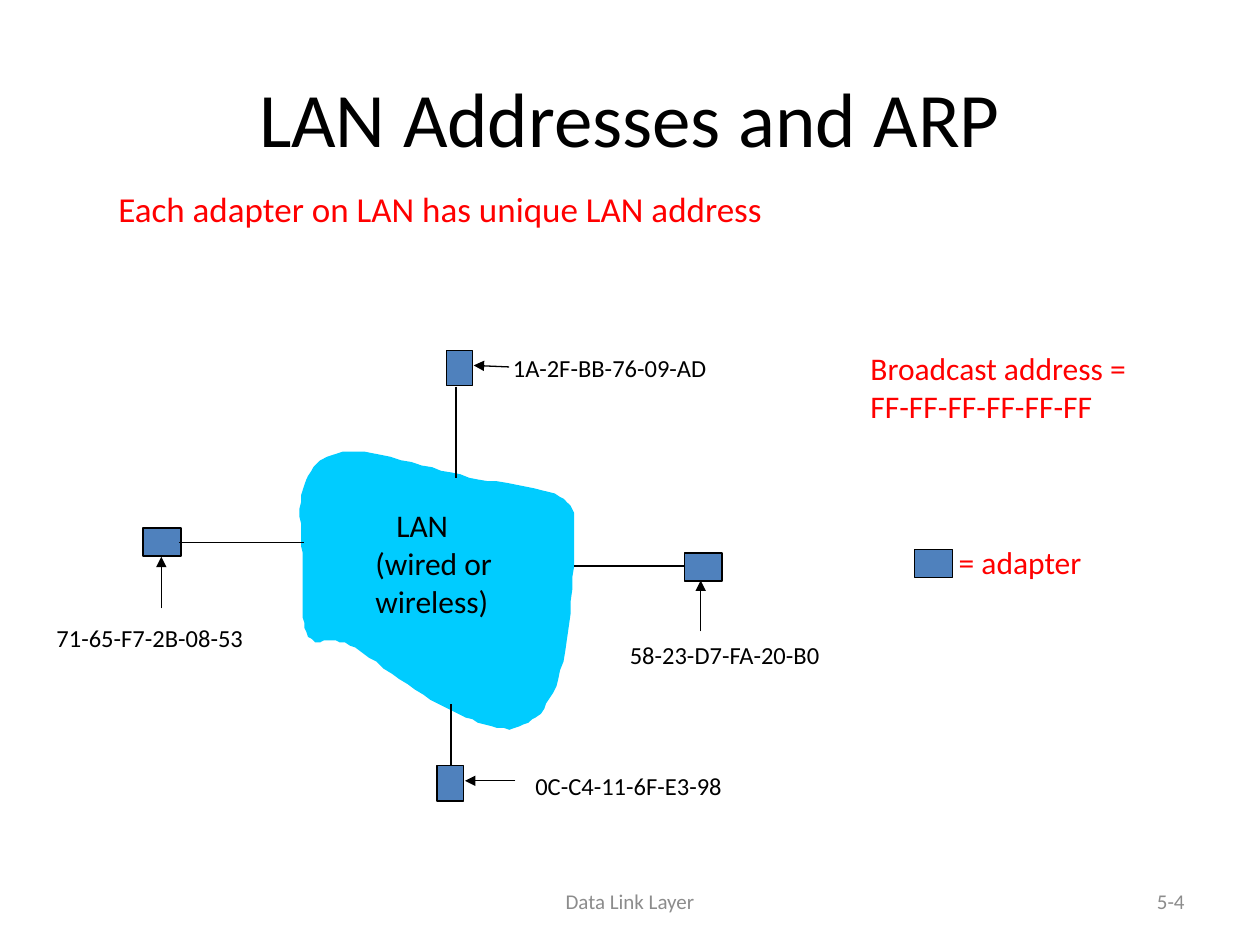
import pptx
import pptx.util
import pptx.dml.color
import pptx.enum.shapes
import pptx.enum.text
import pptx.oxml.ns
from lxml import etree

Pt = pptx.util.Pt
ALIGN = pptx.enum.text.PP_ALIGN
ANCHOR = pptx.enum.text.MSO_ANCHOR

# Content; all lengths in points
FONT = "Calibri"
BLACK, RED, GREY = "000000", "FF0000", "8C8C8C"
ADAPTER_BLUE, LAN_CYAN = "4F81BD", "00CCFF"

TITLE = "LAN Addresses and ARP"

WIDE, TALL = (21.6, 16), (15, 20.2)
# address, label box, adapter corner and size, link to LAN, arrow from label
HOSTS = [
    ("58-23-D7-FA-20-B0", (352.8, 362.4, 149.8, 24), (391, 316.1), WIDE,
     (391.7, 323.5, 328.3, 323.5), (400.4, 360.8, 400.4, 331.7)),
    ("71-65-F7-2B-08-53", (25.2, 352.4, 144, 24), (81.8, 301.8), WIDE,
     (102.2, 310.2, 173.5, 310.2), (92.2, 347.6, 92.2, 318.2)),
    ("1A-2F-BB-76-09-AD", (286, 198.2, 149.8, 24), (255, 200.3), TALL,
     (260.6, 221, 260.6, 272.9), (290.9, 209.7, 270.7, 208.8)),
    ("0C-C4-11-6F-E3-98", (298.8, 437.2, 141.1, 24), (249.8, 437.6), TALL,
     (257.7, 437, 257.7, 402.5), (294.5, 446.2, 265.7, 446.2)),
]
LEGEND_CORNER = (522.8, 313.9)

# lines, box, size, colour
NOTES = [
    (["Each adapter on LAN has unique LAN address"],
     (60.5, 103.7, 442, 31), 20, RED),
    (["Broadcast address =", "FF-FF-FF-FF-FF-FF"],
     (490.3, 195.8, 185.8, 50.4), 18, RED),
    (["= adapter"], (540.7, 306.7, 95, 28.8), 18, RED),
]
LAN_LABEL = (["LAN", "(wired or", "wireless)"],
             (207.4, 285.8, 91.4, 72), 18, BLACK)
LAN_INDENT = 12

FOOTERS = [
    ("Data Link Layer", (246, 500.5, 228, 28.8), ALIGN.CENTER),
    ("5-4", (516, 500.5, 168, 28.8), ALIGN.RIGHT),
]

# LAN outline: start, then Bezier curves (two controls and an end)
LAN_START = (199.4, 257.8)
LAN_CURVES = [
    ((184.3, 258.5), (178.6, 265.7), (173.5, 277.2)),
    ((169.2, 288), (172.8, 309.6), (173.2, 324)),
    ((173.5, 338.4), (171.4, 355.7), (176.4, 363.6)),
    ((180.7, 370.8), (187.9, 362.2), (200.2, 368.6)),
    ((212.4, 375.1), (234.7, 394.6), (249.8, 401.8)),
    ((265.7, 409.7), (282.2, 418.3), (293.8, 416.2)),
    ((305.3, 413.3), (313.2, 405.4), (319, 388.1)),
    ((324.7, 371.5), (327.6, 331.2), (328.3, 313.9)),
    ((328.3, 296.6), (330.5, 290.9), (319.7, 283.7)),
    ((308.9, 277.2), (283, 276.5), (262.8, 271.4)),
    ((243.4, 267.1), (213.8, 257), LAN_START),
]
STEPS = 12


def colour(hex_text):
    return pptx.dml.color.RGBColor.from_string(hex_text)


def bezier_point(p0, p1, p2, p3, t):
    u = 1 - t
    return tuple(u**3 * a + 3 * u * u * t * b + 3 * u * t * t * c + t**3 * d
                 for a, b, c, d in zip(p0, p1, p2, p3))


def style(paragraph, size, hex_text, align=ALIGN.LEFT):
    paragraph.alignment = align
    paragraph.font.name = FONT
    paragraph.font.size = Pt(size)
    paragraph.font.color.rgb = colour(hex_text)


def add_text(shapes, lines, box, size, hex_text, align=ALIGN.LEFT, anchor=ANCHOR.TOP):
    frame = shapes.add_textbox(*map(Pt, box)).text_frame
    frame.word_wrap = True
    frame.vertical_anchor = anchor
    frame.text = "\n".join(lines)
    for paragraph in frame.paragraphs:
        style(paragraph, size, hex_text, align)
    return frame


def add_adapter(shapes, corner, size):
    adapter = shapes.add_shape(pptx.enum.shapes.MSO_SHAPE.RECTANGLE,
                               *map(Pt, corner + size))
    adapter.shadow.inherit = False
    adapter.fill.solid()
    adapter.fill.fore_color.rgb = colour(ADAPTER_BLUE)
    adapter.line.color.rgb = colour(BLACK)
    adapter.line.width = Pt(0.75)


def add_line(shapes, ends, arrow=False):
    line = shapes.add_connector(pptx.enum.shapes.MSO_CONNECTOR.STRAIGHT,
                                *map(Pt, ends))
    line.line.color.rgb = colour(BLACK)
    line.line.width = Pt(0.75)
    qn = pptx.oxml.ns.qn
    if arrow:
        etree.SubElement(line.line._get_or_add_ln(), qn("a:tailEnd"), type="triangle")
    etree.SubElement(line._element.spPr, qn("a:effectLst"))


def add_lan(shapes):
    outline, start = [], LAN_START
    for curve in LAN_CURVES:
        outline += [bezier_point(start, *curve, step / STEPS)
                    for step in range(1, STEPS + 1)]
        start = curve[-1]
    builder = shapes.build_freeform(*LAN_START, scale=Pt(1))
    builder.add_line_segments(outline, close=True)
    lan = builder.convert_to_shape()
    lan.shadow.inherit = False
    lan.fill.solid()
    lan.fill.fore_color.rgb = colour(LAN_CYAN)
    lan.line.fill.background()


def main():
    deck = pptx.Presentation()
    deck.slide_width, deck.slide_height = Pt(720), Pt(540)
    slide = deck.slides.add_slide(deck.slide_layouts[5])
    shapes = slide.shapes

    # Title
    title = shapes.title
    title.left, title.top, title.width, title.height = map(Pt, (36, 21.6, 648, 90))
    title.text_frame.text = TITLE
    title.text_frame.vertical_anchor = ANCHOR.MIDDLE
    style(title.text_frame.paragraphs[0], 44, BLACK, ALIGN.CENTER)

    # Footer and notes
    for words, box, align in FOOTERS:
        add_text(shapes, [words], box, 12, GREY, align, ANCHOR.MIDDLE)
    for note in NOTES:
        add_text(shapes, *note)
    add_adapter(shapes, LEGEND_CORNER, WIDE)

    # LAN with its hosts
    add_lan(shapes)
    for address, box, corner, size, link, arrow in HOSTS:
        add_adapter(shapes, corner, size)
        add_line(shapes, link)
        add_line(shapes, arrow, arrow=True)
        add_text(shapes, [address], box, 14, BLACK)
    lan_label = add_text(shapes, *LAN_LABEL)
    lan_label.paragraphs[0]._p.get_or_add_pPr().set("marL", str(Pt(LAN_INDENT)))

    deck.save("out.pptx")


if __name__ == "__main__":
    main()
